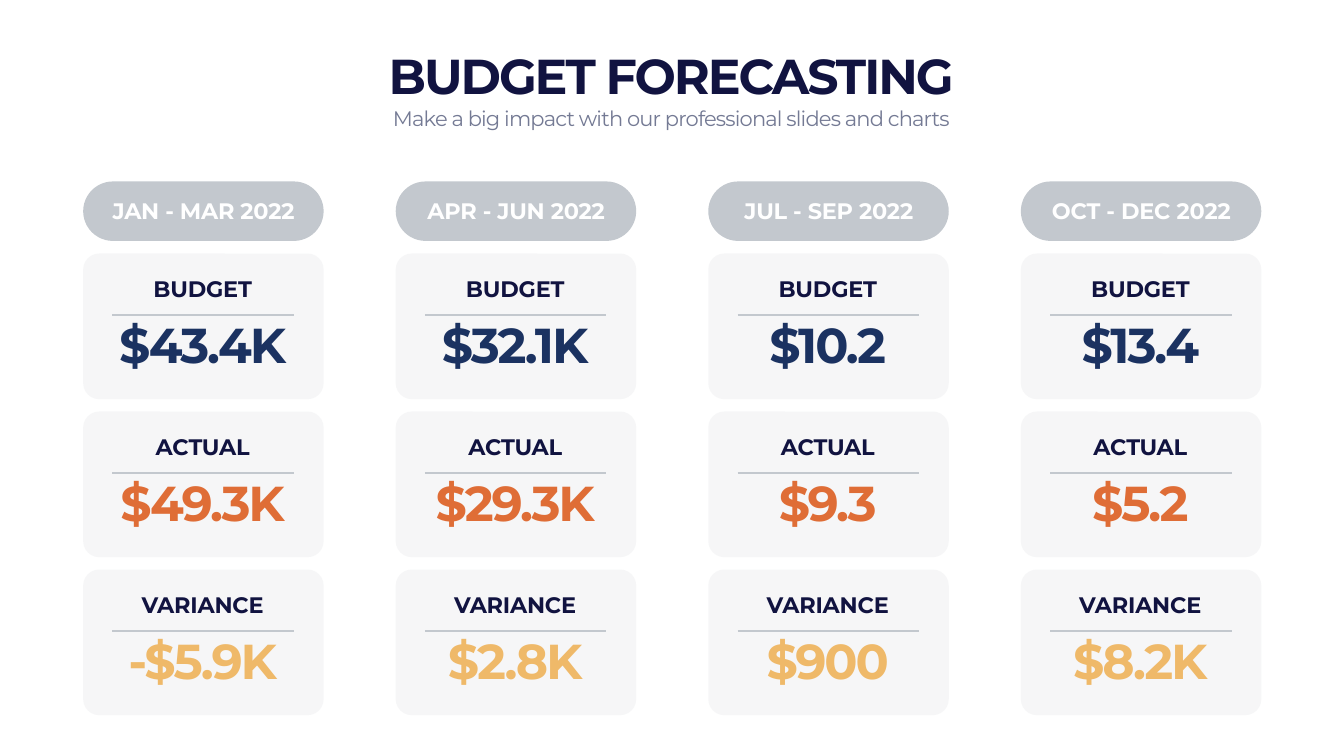
"""Build the quarterly budget forecasting slide."""
from lxml import etree
from pptx import Presentation
from pptx.dml.color import RGBColor
from pptx.enum.shapes import MSO_CONNECTOR, MSO_SHAPE
from pptx.enum.text import MSO_ANCHOR, MSO_AUTO_SIZE, PP_ALIGN
from pptx.oxml.ns import qn
from pptx.util import Inches, Pt

ROUNDED = MSO_SHAPE.ROUNDED_RECTANGLE
STRAIGHT = MSO_CONNECTOR.STRAIGHT
TOP, BOTTOM = MSO_ANCHOR.TOP, MSO_ANCHOR.BOTTOM
CENTER = PP_ALIGN.CENTER
GROW = MSO_AUTO_SIZE.SHAPE_TO_FIT_TEXT

NAVY = RGBColor(0x11, 0x13, 0x40)
BLUE = RGBColor(0x1B, 0x32, 0x61)
ORANGE = RGBColor(0xDF, 0x6D, 0x36)
YELLOW = RGBColor(0xEF, 0xB9, 0x69)
SLATE = RGBColor(0x74, 0x7A, 0x94)
GREY = RGBColor(0xC3, 0xC8, 0xCE)
WHITE = RGBColor(0xFF, 0xFF, 0xFF)
FONT = "Montserrat"

TITLE = "BUDGET FORECASTING"
SUBTITLE = "Make a big impact with our professional slides and charts"
MEASURES = [("BUDGET", BLUE), ("ACTUAL", ORANGE), ("VARIANCE", YELLOW)]
QUARTERS = [
    ("JAN - MAR 2022", ["$43.4K", "$49.3K", "-$5.9K"]),
    ("APR - JUN 2022", ["$32.1K", "$29.3K", "$2.8K"]),
    ("JUL - SEP 2022", ["$10.2", "$9.3", "$900"]),
    ("OCT - DEC 2022", ["$13.4", "$5.2", "$8.2K"]),
]

LEFT, COLUMN_STEP, CARD_WIDTH = 1.65, 6.2, 4.77
PILL_TOP, PILL_HEIGHT = 3.6, 1.18
CARD_TOP, ROW_STEP, CARD_HEIGHT = 5.03, 3.135, 2.89
TEXT_INSET, TEXT_WIDTH = 0.28, 4.18
RULE_INSET, RULE_WIDTH, RULE_DROP = 0.58, 3.6, 1.22


def add_box(slide, left, top, height, rounding, opacity=None):
    box = slide.shapes.add_shape(
        ROUNDED, Inches(left), Inches(top), Inches(CARD_WIDTH), Inches(height))
    box.adjustments[0] = rounding
    box.shadow.inherit = False
    box.fill.solid()
    box.fill.fore_color.rgb = GREY
    box.line.fill.background()
    if opacity is not None:
        color = box.fill._xPr.find(qn("a:solidFill"))[0]
        etree.SubElement(color, qn("a:alpha"), val=str(opacity * 1000))


def add_rule(slide, left, top):
    rule = slide.shapes.add_connector(
        STRAIGHT, Inches(left), Inches(top), Inches(left + RULE_WIDTH), Inches(top))
    rule.line.color.rgb = GREY
    rule.line.width = Pt(2)
    etree.SubElement(rule._element.spPr, qn("a:effectLst"))


def add_text(slide, text, place, size, color, tracking, bold=True, anchor=TOP,
             line_spacing=None):
    box = slide.shapes.add_textbox(*map(Inches, place))
    frame = box.text_frame
    frame.text = text
    frame.word_wrap = True
    frame.auto_size = GROW
    frame.vertical_anchor = anchor
    paragraph = frame.paragraphs[0]
    paragraph.alignment = CENTER
    paragraph.line_spacing = line_spacing
    run = paragraph.runs[0]
    run.font.name = FONT
    run.font.size = Pt(size)
    run.font.bold = bold
    run.font.color.rgb = color
    run._r.get_or_add_rPr().set("spc", str(round(tracking * 100)))


def add_label(slide, text, left, top, color):
    add_text(slide, text, (left, top, TEXT_WIDTH, 0.64), 32, color, -0.3, anchor=BOTTOM)


def add_card(slide, left, top, measure, amount, color):
    add_box(slide, left, top, CARD_HEIGHT, 0.11, opacity=15)
    add_rule(slide, left + RULE_INSET, top + RULE_DROP)
    add_label(slide, measure, left + TEXT_INSET, top + 0.38, NAVY)
    add_text(slide, amount, (left + TEXT_INSET, top + 1.17, TEXT_WIDTH, 1.28),
             70, color, -2.9)


def main():
    deck = Presentation()
    deck.slide_width, deck.slide_height = Inches(26.66), Inches(15)
    slide = deck.slides.add_slide(deck.slide_layouts[6])

    add_text(slide, TITLE, (LEFT, 0.74, 23.33, 1.38), 70, NAVY, -2.9,
             anchor=BOTTOM, line_spacing=Pt(94))
    add_text(slide, SUBTITLE, (LEFT, 2.05, 23.33, 0.61), 30, SLATE, -1.2, bold=False)

    for column, (quarter, amounts) in enumerate(QUARTERS):
        left = LEFT + column * COLUMN_STEP
        add_box(slide, left, PILL_TOP, PILL_HEIGHT, 0.5)
        add_label(slide, quarter, left + 0.3, PILL_TOP + 0.25, WHITE)
        for row, ((measure, color), amount) in enumerate(zip(MEASURES, amounts)):
            add_card(slide, left, CARD_TOP + row * ROW_STEP, measure, amount, color)

    deck.save("out.pptx")


if __name__ == "__main__":
    main()
